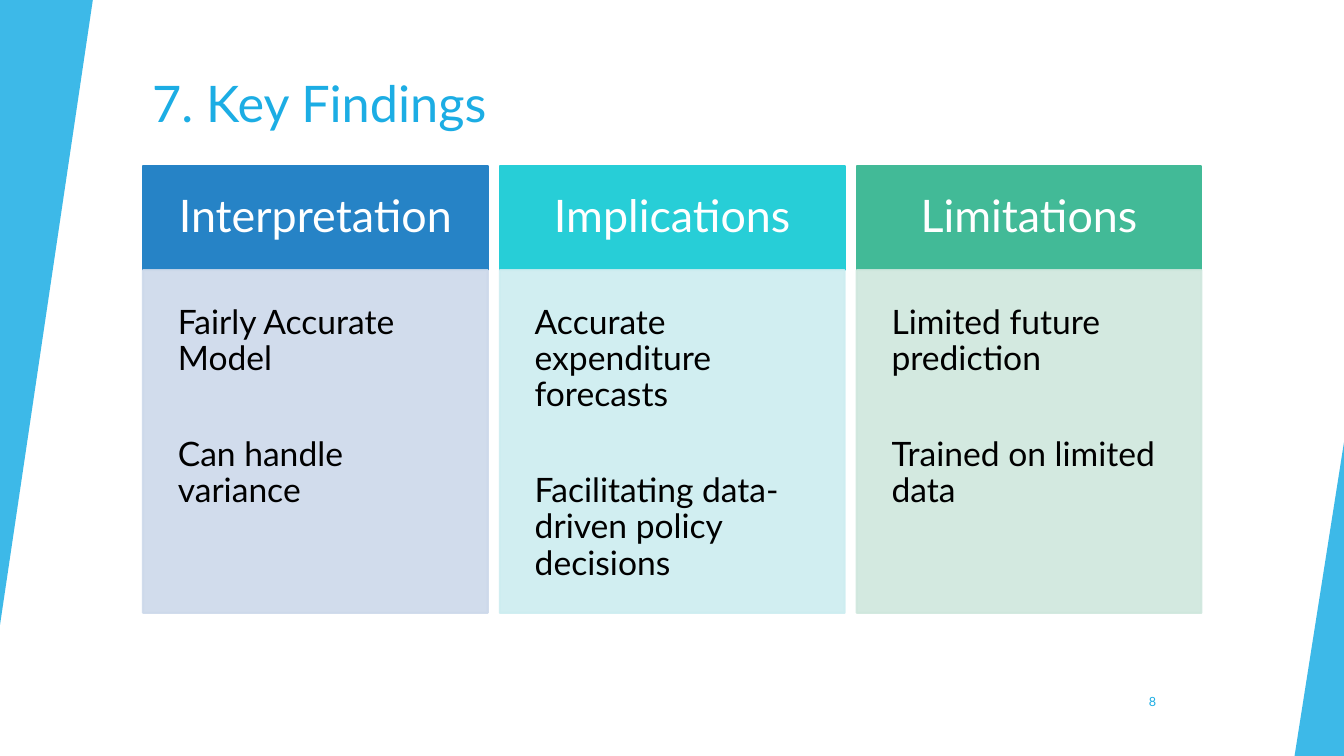
from lxml.etree import SubElement as Sub
from pptx import Presentation
from pptx.dml.color import RGBColor as Rgb
from pptx.enum.shapes import MSO_SHAPE as Shape
from pptx.enum.text import MSO_ANCHOR as Anchor, MSO_AUTO_SIZE as Fit, PP_ALIGN as Align
from pptx.oxml.ns import qn
from pptx.util import Pt

FONT = "Lato"
HUES = {
    "sky": "1CADE4", "white": "FFFFFF", "black": "000000",
    "blue": "2683C6", "pale blue": "CDD9EA",
    "cyan": "27CED7", "pale cyan": "CDEDF0",
    "green": "42BA97", "pale green": "CFE7DD",
}
COLUMNS = [
    ("Interpretation", "blue", ["Fairly Accurate Model", "Can handle variance"]),
    ("Implications", "cyan", ["Accurate expenditure forecasts",
                              "Facilitating data-driven policy decisions"]),
    ("Limitations", "green", ["Limited future prediction", "Trained on limited data"]),
]


def paint(fill, hue, alpha=100):
    """Set a solid fill, with its opacity in percent."""
    fill.solid()
    fill.fore_color.rgb = Rgb.from_string(HUES[hue])
    if alpha < 100:
        color = fill._xPr.find(qn("a:solidFill"))[0]
        Sub(color, qn("a:alpha"), val=str(alpha * 1000))


def add_form(slide, kind, box, hue, alpha=100):
    form = slide.shapes.add_shape(kind, *map(Pt, box))
    form.shadow.inherit = False
    paint(form.fill, hue, alpha)
    return form


def write(frame, lines, size, hue, align=Align.LEFT, anchor=Anchor.TOP,
          inset=None, pitch=None, gap=0):
    """Fill a text frame with one paragraph per line, gap points apart."""
    frame.word_wrap = True
    frame.auto_size = Fit.NONE
    frame.vertical_anchor = anchor
    if inset is not None:
        frame.margin_left = frame.margin_right = Pt(inset)
        frame.margin_top = frame.margin_bottom = Pt(inset)
    for i, line in enumerate(lines):
        para = frame.add_paragraph() if i else frame.paragraphs[0]
        para.alignment = align
        para.line_spacing = pitch
        para.space_before = Pt(gap if i else 0)
        run = para.add_run()
        run.text = line
        run.font.name = FONT
        run.font.size = Pt(size)
        run.font.color.rgb = Rgb.from_string(HUES[hue])


def add_wedges(slide, width, height):
    """Slanted wedges at the top left and bottom right edges."""
    left = add_form(slide, Shape.ISOSCELES_TRIANGLE, (0, 0, 66.3, 446.4), "sky", 85)
    left.rotation = 180
    right = add_form(slide, Shape.ISOSCELES_TRIANGLE,
                     (width - 35.3, height - 224, 35.3, 224), "sky", 85)
    for wedge in (left, right):
        wedge.adjustments[0] = 1
        wedge.line.fill.background()


def add_title(slide, box, text):
    title = slide.shapes.title
    title.left, title.top, title.width, title.height = map(Pt, box)
    write(title.text_frame, [text], 36, "sky")


def add_number(slide, box, text):
    label = slide.shapes.add_textbox(*map(Pt, box))
    write(label.text_frame, [text], 9, "sky", Align.RIGHT, Anchor.MIDDLE)


def add_column(slide, box, name, hue, points):
    """A header band over a pale panel of points."""
    x, y, w, h = box
    band = 74.2
    head = add_form(slide, Shape.RECTANGLE, (x, y, w, band), hue)
    write(head.text_frame, [name], 32, "white", Align.CENTER, Anchor.MIDDLE, 19.4, 0.9)
    pale = "pale " + hue
    body = add_form(slide, Shape.RECTANGLE, (x, y + band, w, h - band), pale, 90)
    write(body.text_frame, points, 24, "black", inset=24.9, pitch=0.9, gap=42.6)
    for part, tint, alpha in ((head, hue, 100), (body, pale, 90)):
        part.line.width = Pt(1.5)
        paint(part.line.fill, tint, alpha)


def add_columns(slide, box):
    x, y, w, h = box
    gap = 8.6
    each = (w - gap * (len(COLUMNS) - 1)) / len(COLUMNS)
    for i, (name, hue, points) in enumerate(COLUMNS):
        add_column(slide, (x + i * (each + gap), y, each, h), name, hue, points)


def main():
    deck = Presentation()
    width, height = 960, 540
    deck.slide_width, deck.slide_height = Pt(width), Pt(height)
    slide = deck.slides.add_slide(deck.slide_layouts[5])
    add_title(slide, (101.5, 48.2, 802.8, 86.4), "7. Key Findings")
    add_wedges(slide, width, height)
    add_number(slide, (779, 486.7, 54, 28.8), "8")
    add_columns(slide, (102.2, 118.8, 756, 319))
    deck.save("out.pptx")


if __name__ == "__main__":
    main()
